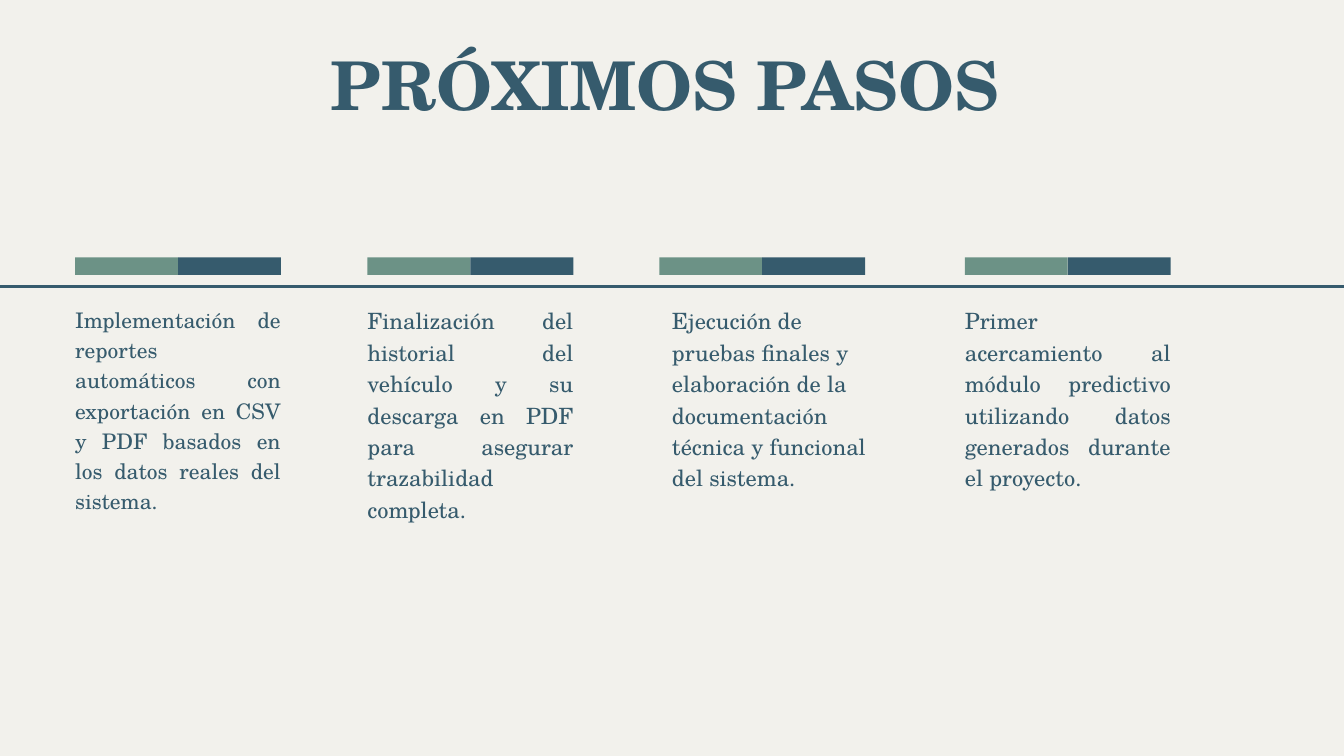
from pptx import Presentation
from pptx.dml.color import RGBColor
from pptx.enum.shapes import MSO_CONNECTOR, MSO_SHAPE
from pptx.enum.text import MSO_AUTO_SIZE, PP_ALIGN
from pptx.oxml.ns import qn
from pptx.util import Cm, Pt
from lxml import etree

LEFT, JUSTIFY = PP_ALIGN.LEFT, PP_ALIGN.JUSTIFY
RECTANGLE, STRAIGHT = MSO_SHAPE.RECTANGLE, MSO_CONNECTOR.STRAIGHT
FIT_SHAPE = MSO_AUTO_SIZE.SHAPE_TO_FIT_TEXT

FONT = "TeX Gyre Schola"
COLORS = {"background": "F2F1EC", "blue": "365B6D", "green": "6C9286"}

TITLE = "PRÓXIMOS PASOS"
# bar left, text left, text height (cm), size (pt), alignment, text
STEPS = [
    (2.84, 2.84, 5.54, 23, JUSTIFY,
     "Implementación de reportes automáticos con exportación en CSV y PDF "
     "basados en los datos reales del sistema."),
    (13.89, 13.89, 5.79, 24, JUSTIFY,
     "Finalización del historial del vehículo y su descarga en PDF para "
     "asegurar trazabilidad completa."),
    (24.92, 25.4, 5.79, 24, LEFT,
     "Ejecución de pruebas finales y elaboración de la documentación técnica "
     "y funcional del sistema."),
    (36.47, 36.47, 5.79, 24, JUSTIFY,
     "Primer acercamiento al módulo predictivo utilizando datos generados "
     "durante el proyecto."),
]

SLIDE_WIDTH, SLIDE_HEIGHT = 50.8, 28.58
STEP_WIDTH = 7.78
BAR_TOP, BAR_HEIGHT = 9.73, 0.66
LINE_TOP, LINE_OVERHANG = 10.82, 0.75
TEXT_TOP = 11.46
STEP_LEADING = 1.4


def color(name):
    return RGBColor.from_string(COLORS[name])


def add_text(slide, text, left, top, width, height, size, leading, align, bold=False):
    """Add a text box without margins; leading is the line pitch in points."""
    box = slide.shapes.add_textbox(Cm(left), Cm(top), Cm(width), Cm(height))
    frame = box.text_frame
    frame.word_wrap = True
    frame.auto_size = FIT_SHAPE
    frame.margin_left = frame.margin_top = 0
    frame.margin_right = frame.margin_bottom = 0
    paragraph = frame.paragraphs[0]
    paragraph.alignment = align
    paragraph.line_spacing = Pt(leading)
    run = paragraph.add_run()
    run.text = text
    run.font.name = FONT
    run.font.size = Pt(size)
    run.font.bold = bold
    run.font.color.rgb = color("blue")


def add_two_tone_bar(slide, left):
    half = STEP_WIDTH / 2
    for index, name in enumerate(("green", "blue")):
        shape = slide.shapes.add_shape(
            RECTANGLE, Cm(left + index * half), Cm(BAR_TOP), Cm(half), Cm(BAR_HEIGHT))
        shape.shadow.inherit = False
        shape.fill.solid()
        shape.fill.fore_color.rgb = color(name)
        shape.line.fill.background()


def add_timeline(slide):
    line = slide.shapes.add_connector(
        STRAIGHT, Cm(-LINE_OVERHANG), Cm(LINE_TOP),
        Cm(SLIDE_WIDTH + LINE_OVERHANG), Cm(LINE_TOP))
    line.line.color.rgb = color("blue")
    line.line.width = Pt(3)
    etree.SubElement(line._element.spPr, qn("a:effectLst"))


def main():
    presentation = Presentation()
    presentation.slide_width = Cm(SLIDE_WIDTH)
    presentation.slide_height = Cm(SLIDE_HEIGHT)
    slide = presentation.slides.add_slide(presentation.slide_layouts[6])
    slide.background.fill.solid()
    slide.background.fill.fore_color.rgb = color("background")

    add_timeline(slide)
    for bar_left, text_left, height, size, align, text in STEPS:
        add_two_tone_bar(slide, bar_left)
        add_text(slide, text, text_left, TEXT_TOP, STEP_WIDTH, height,
                 size, size * STEP_LEADING, align)
    add_text(slide, TITLE, 12.5, 2.44, 25.8, 2.46, 72, 64.1, LEFT, bold=True)

    presentation.save("out.pptx")


if __name__ == "__main__":
    main()
